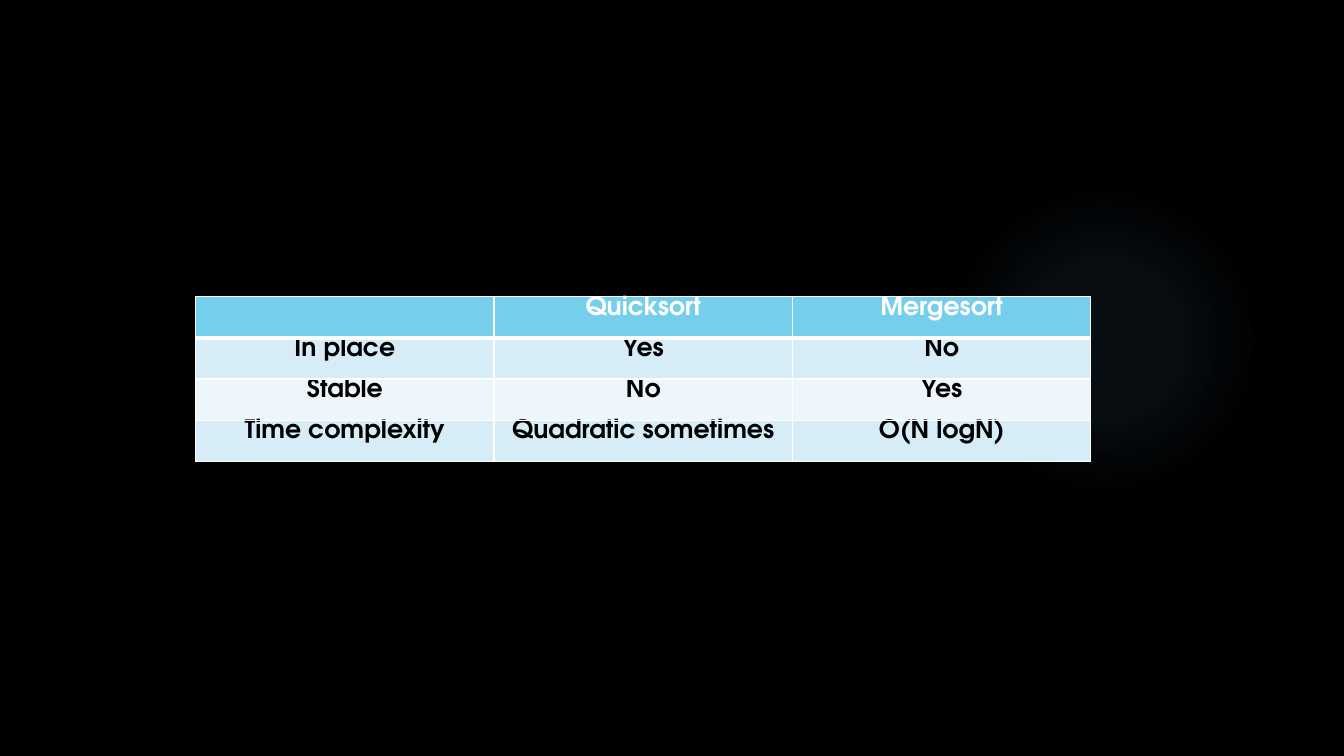
from dataclasses import dataclass

from lxml.etree import SubElement
from pptx import Presentation
from pptx.dml.color import RGBColor
from pptx.enum.shapes import MSO_SHAPE as Preset
from pptx.enum.text import MSO_ANCHOR as Anchor, PP_ALIGN as Align
from pptx.oxml.ns import qn
from pptx.slide import Slide
from pptx.table import _Cell as Cell
from pptx.util import Inches, Pt

FONT = "TeX Gyre Adventor"
WHITE, BLACK = "FFFFFF", "000000"
COLUMN_WIDTH, ROW_HEIGHT = 2.96, 0.41


@dataclass(frozen=True)
class ComparisonRow:
    entries: tuple[str, str, str]
    fill: str
    ink: str = BLACK
    top_rule: float = 1
    bottom_rule: float = 1


@dataclass(frozen=True)
class GlowStop:
    position: int
    opacity: int


COMPARISON = (
    ComparisonRow(("", "Quicksort", "Mergesort"), "75CEEC", WHITE, bottom_rule=3),
    ComparisonRow(("In place", "Yes", "No"), "D6EDF8", top_rule=3),
    ComparisonRow(("Stable", "No", "Yes"), "ECF6FB"),
    ComparisonRow(("Time complexity", "Quadratic sometimes", "O(N logN)"), "D6EDF8"),
)
GLOW_STOPS = (GlowStop(0, 7), GlowStop(36, 6), GlowStop(69, 0))


def color(value: str) -> RGBColor:
    return RGBColor.from_string(value)


def write(cell: Cell, text: str, *, ink: str, size: float = 18, bold: bool = True) -> None:
    paragraph = cell.text_frame.paragraphs[0]
    paragraph.alignment = Align.CENTER
    font = paragraph.font
    if text:
        run = paragraph.add_run()
        run.text = text
        font = run.font
    font.name, font.size, font.bold = FONT, Pt(size), bold
    font.color.rgb = color(ink)


def rule_cell(cell: Cell, top: float, bottom: float) -> None:
    properties = cell._tc.get_or_add_tcPr()
    for side, width in (("L", 1), ("R", 1), ("T", top), ("B", bottom)):
        border = SubElement(properties, qn(f"a:ln{side}"), w=str(Pt(width)))
        paint = SubElement(border, qn("a:solidFill"))
        SubElement(paint, qn("a:srgbClr"), val=WHITE)


def draw_glow(slide: Slide, left: float, top: float, diameter: float, tint: str) -> None:
    glow = slide.shapes.add_shape(
        Preset.OVAL, Inches(left), Inches(top), Inches(diameter), Inches(diameter)
    )
    glow.shadow.inherit = False
    glow.line.fill.background()
    glow.fill.background()
    properties = glow._element.spPr
    no_fill = properties.find(qn("a:noFill"))
    gradient = SubElement(properties, qn("a:gradFill"), rotWithShape="1")
    properties.replace(no_fill, gradient)
    stops = SubElement(gradient, qn("a:gsLst"))
    for stop in GLOW_STOPS:
        mark = SubElement(stops, qn("a:gs"), pos=str(stop.position * 1000))
        shade = SubElement(mark, qn("a:srgbClr"), val=tint)
        SubElement(shade, qn("a:alpha"), val=str(stop.opacity * 1000))
    circle = SubElement(gradient, qn("a:path"), path="circle")
    SubElement(circle, qn("a:fillToRect"), l="50000", t="50000", r="50000", b="50000")


def draw_comparison(slide: Slide, left: float, top: float) -> None:
    row_count, column_count = len(COMPARISON), len(COMPARISON[0].entries)
    table = slide.shapes.add_table(
        row_count, column_count, Inches(left), Inches(top),
        Inches(COLUMN_WIDTH * column_count), Inches(ROW_HEIGHT * row_count),
    ).table
    table.horz_banding = False
    for column in table.columns:
        column.width = Inches(COLUMN_WIDTH)
    for table_row, content in zip(table.rows, COMPARISON):
        table_row.height = Inches(ROW_HEIGHT)
        for cell, entry in zip(table_row.cells, content.entries):
            rule_cell(cell, content.top_rule, content.bottom_rule)
            cell.fill.solid()
            cell.fill.fore_color.rgb = color(content.fill)
            cell.margin_top = cell.margin_bottom = 0
            cell.vertical_anchor = Anchor.TOP
            write(cell, entry, ink=content.ink)


def main() -> None:
    presentation = Presentation()
    presentation.slide_width = Inches(13.33)
    presentation.slide_height = Inches(7.5)
    slide = presentation.slides.add_slide(presentation.slide_layouts[6])
    slide.background.fill.solid()
    slide.background.fill.fore_color.rgb = color(BLACK)
    draw_glow(slide, 9.41, 1.83, 3.08, "7AC4F0")
    draw_comparison(slide, 1.94, 2.94)
    presentation.save("out.pptx")


if __name__ == "__main__":
    main()
